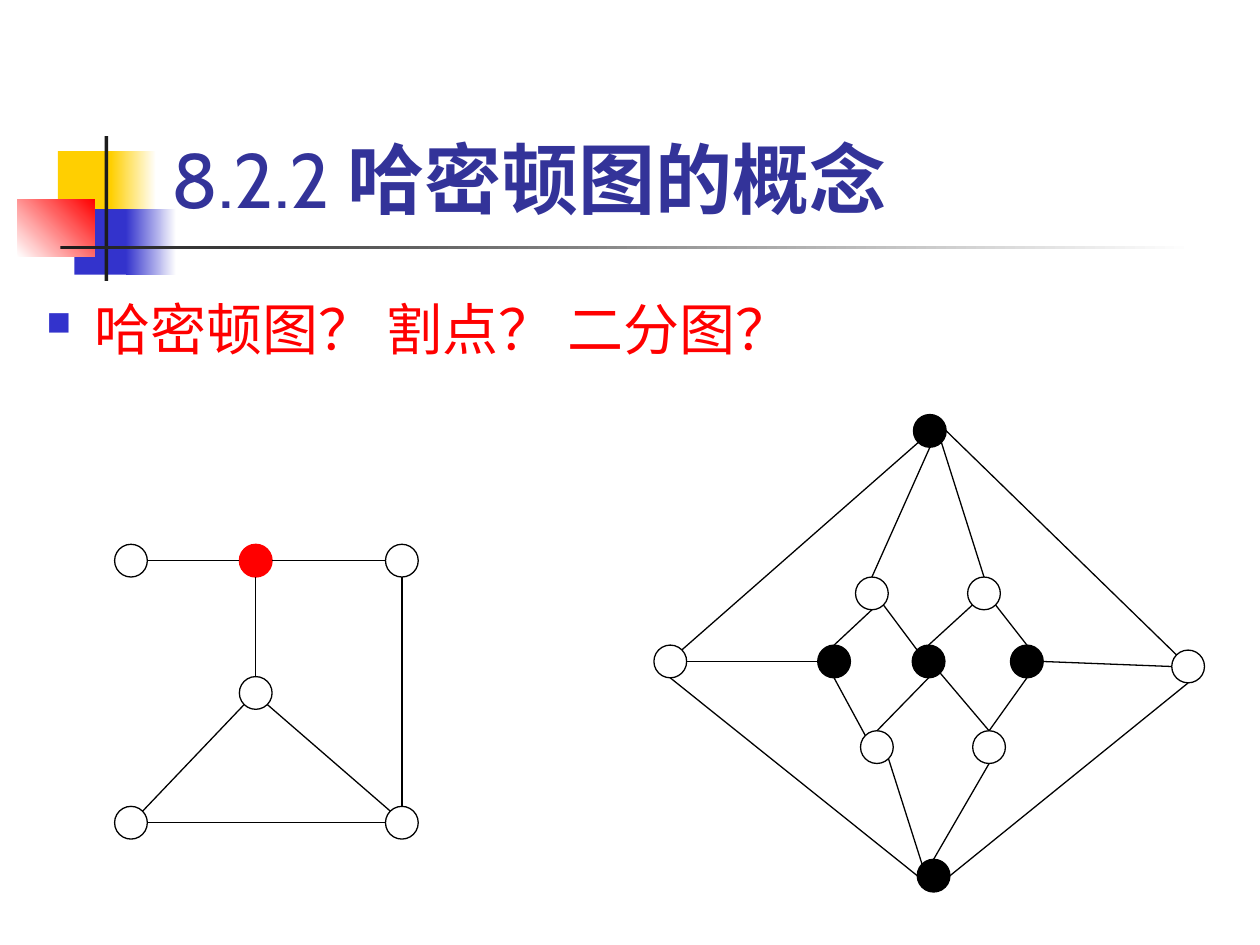
import math

import pptx
import pptx.dml.color
import pptx.enum.shapes
import pptx.enum.text
import pptx.oxml
import pptx.oxml.ns
import pptx.util

Inches, Pt = pptx.util.Inches, pptx.util.Pt
Kind = pptx.enum.shapes.MSO_SHAPE

THEME = {
    "font": "Cabin",
    "title": 44, "body": 32, "line": 0.75,
    "navy": "333399", "blue": "3333CC", "gold": "FFCF01", "red": "FF0000",
    "dark": "1C1C1C", "black": "000000", "white": "FFFFFF",
}

TITLE = [("8.2.2 ", False), ("哈密顿图的概念", True)]
BODY = "哈密顿图？ 割点？ 二分图？"

# left, top, width, height, colours, gradient angle
DECOR = [
    (0.46, 1.2, 0.48, 0.52, ["gold"], 0),
    (0.88, 1.2, 0.36, 0.52, ["gold", "white"], 0),
    (0.59, 1.66, 0.46, 0.52, ["blue"], 0),
    (1, 1.66, 0.4, 0.52, ["blue", "white"], 0),
    (0.14, 1.58, 0.61, 0.46, ["white", "red"], 45),
    (0.83, 1.08, 0.03, 1.15, ["dark"], 0),
    (0.48, 1.95, 9, 0.03, ["dark", "white"], 0),
]

# name: centre x, centre y, fill, outline
NODES = {
    "leaf": (1.04, 4.45, "white", "black"),
    "cut": (2.03, 4.45, "red", "red"),
    "corner": (3.19, 4.45, "white", "black"),
    "hub": (2.03, 5.5, "white", "black"),
    "base1": (1.04, 6.53, "white", "black"),
    "base2": (3.19, 6.53, "white", "black"),
    "top": (7.38, 3.42, "black", "black"),
    "up1": (6.92, 4.71, "white", "black"),
    "up2": (7.81, 4.71, "white", "black"),
    "west": (5.32, 5.25, "white", "black"),
    "mid1": (6.62, 5.25, "black", "black"),
    "mid2": (7.37, 5.25, "black", "black"),
    "mid3": (8.15, 5.25, "black", "black"),
    "east": (9.43, 5.29, "white", "black"),
    "low1": (6.96, 5.93, "white", "black"),
    "low2": (7.85, 5.93, "white", "black"),
    "bottom": (7.41, 6.95, "black", "black"),
}
SIZE = 0.26

# node, side it leaves from, node, side it arrives at
EDGES = [
    ("leaf", "E", "cut", "W"), ("cut", "E", "corner", "W"),
    ("corner", "S", "base2", "N"), ("base1", "E", "base2", "W"),
    ("cut", "S", "hub", "N"), ("hub", "SW", "base1", "NE"),
    ("hub", "SE", "base2", "NW"),
    ("up1", "S", "mid1", "N"), ("up1", "SE", "mid2", "NW"),
    ("up2", "SW", "mid2", "N"), ("up2", "SE", "mid3", "N"),
    ("mid1", "S", "low1", "NW"), ("mid2", "S", "low1", "N"),
    ("mid2", "SE", "low2", "N"), ("mid3", "S", "low2", "N"),
    ("top", "E", "east", "NW"), ("top", "SW", "west", "NE"),
    ("west", "S", "bottom", "W"), ("east", "S", "bottom", "E"),
    ("top", "S", "up1", "N"), ("top", "SE", "up2", "N"),
    ("west", "E", "mid1", "W"), ("mid3", "E", "east", "W"),
    ("low1", "SE", "bottom", "NW"), ("low2", "S", "bottom", "N"),
]
SIDES = ["E", "SE", "S", "SW", "W", "NW", "N", "NE"]


def color(name):
    return pptx.dml.color.RGBColor.from_string(THEME[name])


def place(shape, *box):
    shape.left, shape.top, shape.width, shape.height = map(Inches, box)


def write(para, text, size, tint, bold=False):
    run = para.add_run()
    run.text = text
    font = run.font
    font.name, font.size, font.bold = THEME["font"], Pt(THEME[size]), bold
    font.color.rgb = color(tint)


def add_decor(shapes, left, top, width, height, tints, angle):
    box = shapes.add_shape(Kind.RECTANGLE, *map(Inches, (left, top, width, height)))
    box.shadow.inherit = False
    box.line.fill.background()
    if len(tints) == 1:
        box.fill.solid()
        box.fill.fore_color.rgb = color(tints[0])
        return
    box.fill.gradient()
    box.fill.gradient_angle = angle
    for stop, tint in zip(box.fill.gradient_stops, tints):
        stop.color.rgb = color(tint)


def add_title(title):
    place(title, 1.26, 0.23, 8.52, 1.6)
    frame = title.text_frame
    frame.vertical_anchor = pptx.enum.text.MSO_ANCHOR.BOTTOM
    para = frame.paragraphs[0]
    para.alignment = pptx.enum.text.PP_ALIGN.LEFT
    for text, bold in TITLE:
        write(para, text, "title", "navy", bold)


def add_body(shapes):
    frame = shapes.add_textbox(*map(Inches, (0.27, 2.02, 9.73, 1.1))).text_frame
    frame.word_wrap = True
    para = frame.paragraphs[0]
    props = para._p.get_or_add_pPr()
    props.set("marL", str(Inches(0.38)))
    props.set("indent", str(-Inches(0.38)))
    space = pptx.oxml.ns.nsdecls("a")
    for bullet in (
        f'<a:buClr {space}><a:srgbClr val="{THEME["blue"]}"/></a:buClr>',
        f'<a:buSzPct {space} val="60000"/>',
        f'<a:buChar {space} char="■"/>',
    ):
        props.append(pptx.oxml.parse_xml(bullet))
    para.line_spacing = 1.5
    write(para, BODY, "body", "red")


def add_node(shapes, x, y, fill, edge):
    box = (x - SIZE / 2, y - SIZE / 2, SIZE, SIZE)
    node = shapes.add_shape(Kind.OVAL, *map(Inches, box))
    node.shadow.inherit = False
    node.fill.solid()
    node.fill.fore_color.rgb = color(fill)
    node.line.color.rgb = color(edge)
    node.line.width = Pt(THEME["line"])


def rim(name, side):
    """Point on a node's circle at a compass side."""
    x, y = NODES[name][:2]
    turn = SIDES.index(side) * math.pi / 4
    return x + SIZE / 2 * math.cos(turn), y + SIZE / 2 * math.sin(turn)


def add_edge(shapes, start, out, end, into):
    ends = rim(start, out) + rim(end, into)
    line = shapes.add_connector(
        pptx.enum.shapes.MSO_CONNECTOR.STRAIGHT, *map(Inches, ends))
    line.line.color.rgb = color("black")
    line.line.width = Pt(THEME["line"])
    effect = f'<a:effectLst {pptx.oxml.ns.nsdecls("a")}/>'
    line._element.spPr.append(pptx.oxml.parse_xml(effect))


def main():
    deck = pptx.Presentation()
    deck.slide_width, deck.slide_height = Inches(10), Inches(7.5)
    slide = deck.slides.add_slide(deck.slide_layouts[5])
    shapes = slide.shapes
    for item in DECOR:
        add_decor(shapes, *item)
    add_title(shapes.title)
    add_body(shapes)
    for node in NODES.values():
        add_node(shapes, *node)
    for edge in EDGES:
        add_edge(shapes, *edge)
    deck.save("out.pptx")


if __name__ == "__main__":
    main()
